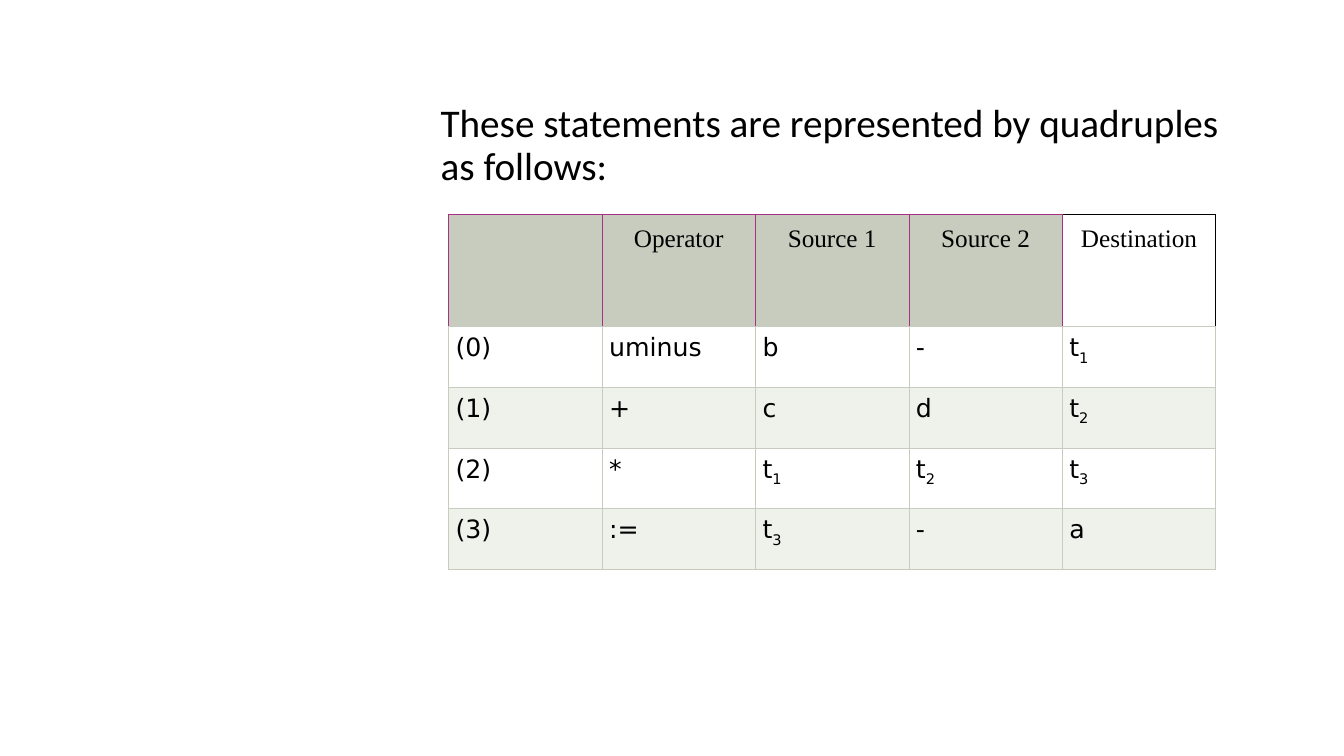
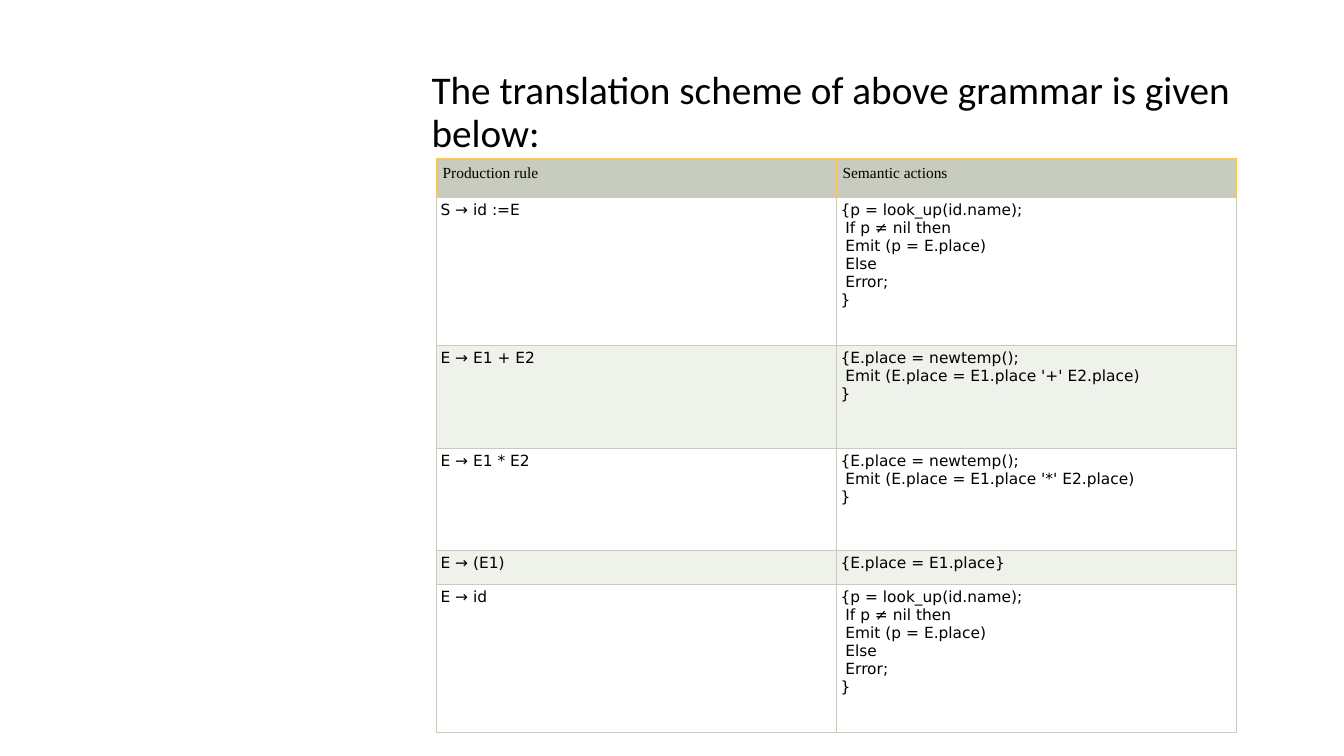
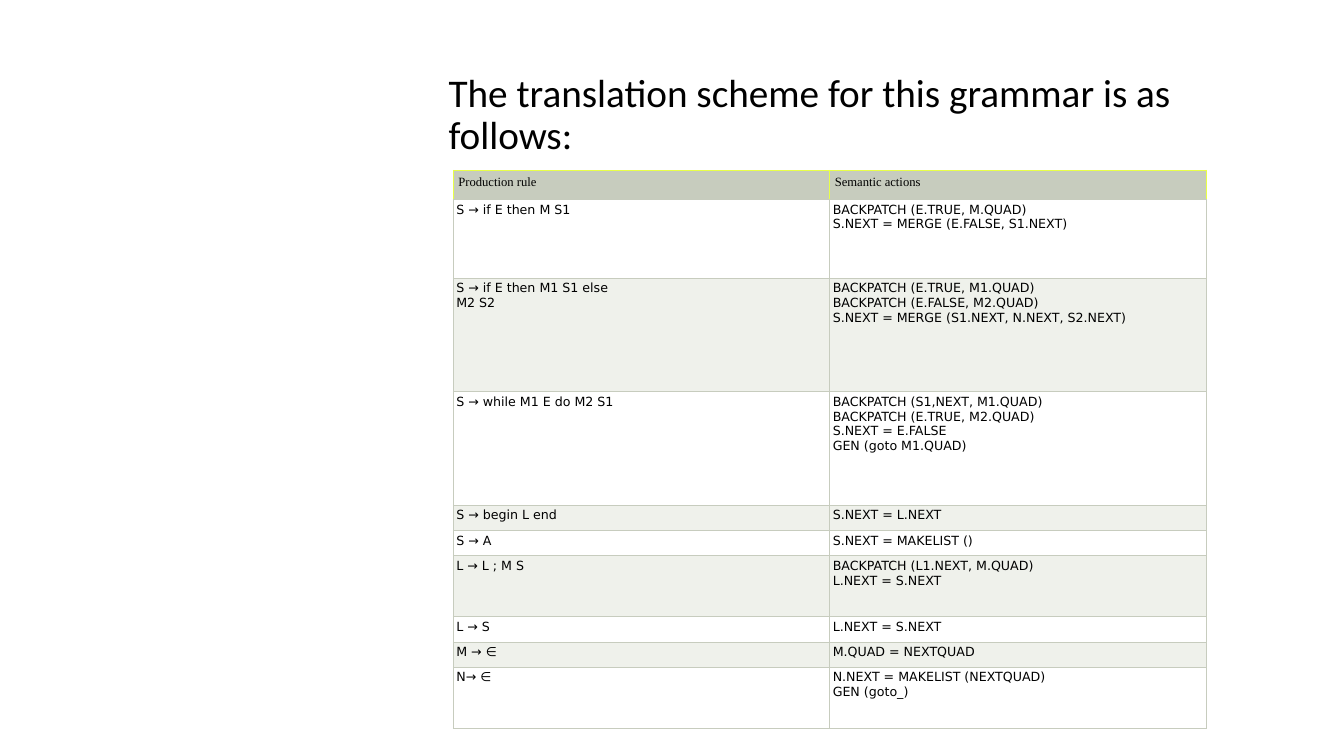
from copy import deepcopy
from dataclasses import dataclass

from lxml import etree
from pptx import Presentation
from pptx.dml.color import RGBColor
from pptx.enum.text import MSO_ANCHOR, MSO_AUTO_SIZE, PP_ALIGN
from pptx.oxml.ns import qn
from pptx.util import Inches, Pt

LEFT, CENTER = PP_ALIGN.LEFT, PP_ALIGN.CENTER
TOP, MIDDLE = MSO_ANCHOR.TOP, MSO_ANCHOR.MIDDLE
NO_AUTOFIT = MSO_AUTO_SIZE.NONE
TITLE_AND_BODY, TITLE_ONLY = 1, 5
EDGES = ("lnL", "lnR", "lnT", "lnB")


@dataclass(frozen=True)
class Theme:
    """Colours, fonts and sizes shared by all slides."""
    ink: str = "000000"
    header: str = "C7CCBE"
    rule: str = "C7CCBE"
    bands: tuple = ("FFFFFF", "EFF1EB")
    heading_font: str = "Calibri"
    header_font: str = "Times New Roman"
    cell_font: str = "DejaVu Sans"
    heading_size: float = 28
    line_spacing: float = 0.9
    rule_width: float = 0.6


@dataclass(frozen=True)
class TableLook:
    """What differs from one table to the next."""
    accent: str
    size: float
    header_inset: float
    cell_inset: float
    header_align: PP_ALIGN = LEFT


def assign(target, values):
    """Set each attribute named in values on target."""
    for name, value in values.items():
        setattr(target, name, value)


def insets(inches):
    """Return equal margins for all four sides."""
    return {f"margin_{side}": Inches(inches)
            for side in ("left", "top", "right", "bottom")}


class Deck:
    """Holds the theme, the presentation and the current slide."""

    def __init__(self, theme):
        """Start an empty widescreen presentation."""
        self.theme = theme
        self.presentation = Presentation()
        assign(self.presentation, {"slide_width": Inches(13.33),
                                   "slide_height": Inches(7.5)})
        self.slide = None

    def across(self, percent):
        """Return a percentage of the slide width."""
        return round(self.presentation.slide_width * percent / 100)

    def down(self, percent):
        """Return a percentage of the slide height."""
        return round(self.presentation.slide_height * percent / 100)

    def add_slide(self, layout):
        """Add a slide and make it current."""
        layouts = self.presentation.slide_layouts
        self.slide = self.presentation.slides.add_slide(layouts[layout])

    def style_runs(self, paragraph, font, size):
        """Give every run and line break one text style."""
        for run in paragraph.runs:
            assign(run.font, {"name": font, "size": Pt(size), "bold": False})
            run.font.color.rgb = RGBColor.from_string(self.theme.ink)
        for line_break in paragraph._p.findall(qn("a:br")):
            line_break.insert(0, deepcopy(paragraph.runs[0]._r.rPr))

    def fill_placeholder(self, holder, place, text, anchor, before):
        """Move a placeholder and write its heading text."""
        x, y, width, height = place
        assign(holder, {"left": self.across(x), "top": self.down(y),
                        "width": self.across(width),
                        "height": self.down(height)})
        frame = holder.text_frame
        assign(frame, {"auto_size": NO_AUTOFIT, "word_wrap": True,
                       "vertical_anchor": anchor})
        paragraph = frame.paragraphs[0]
        assign(paragraph, {"text": text, "alignment": LEFT,
                           "line_spacing": self.theme.line_spacing,
                           "space_before": Pt(before)})
        self.style_runs(paragraph, self.theme.heading_font,
                        self.theme.heading_size)
        return paragraph

    def title(self, place, text):
        """Write the slide title."""
        self.fill_placeholder(self.slide.shapes.title, place, text, MIDDLE, 0)

    def body(self, place, text):
        """Write unbulleted body text on a slide without a title."""
        heading = self.slide.shapes.title._element
        heading.getparent().remove(heading)
        statement = self.fill_placeholder(self.slide.placeholders[1], place,
                                          text, TOP, 10)
        properties = statement._p.get_or_add_pPr()
        for name in ("marL", "indent"):
            properties.set(name, "0")
        etree.SubElement(properties, qn("a:buNone"))

    def borders(self, cell, colours):
        """Draw left, right, top and bottom borders of a cell."""
        properties = cell._tc.get_or_add_tcPr()
        for edge, colour in zip(EDGES, colours):
            line = etree.SubElement(properties, qn(f"a:{edge}"),
                                    w=str(Pt(self.theme.rule_width)))
            solid = etree.SubElement(line, qn("a:solidFill"))
            etree.SubElement(solid, qn("a:srgbClr"), val=colour)

    def cell(self, cell, content, font, size, inset, align, fill, edges):
        """Write one cell; a pair is a symbol and its subscript."""
        assign(cell, insets(inset))
        paragraph = cell.text_frame.paragraphs[0]
        paragraph.alignment = align
        if isinstance(content, tuple):
            symbol, index = content
            paragraph.add_run().text = symbol
            subscript = paragraph.add_run()
            subscript.text = index
            subscript._r.get_or_add_rPr().set("baseline", "-25000")
        else:
            paragraph.text = content
        self.style_runs(paragraph, font, size)
        self.borders(cell, edges)
        if fill:
            cell.fill.solid()
            cell.fill.fore_color.rgb = RGBColor.from_string(fill)
        else:
            cell.fill.background()

    def table(self, place, heights, rows, look, open_header=None):
        """Add a banded table; open_header is a column with a clear header."""
        theme, columns = self.theme, len(rows[0])
        x, y, width = place
        grid = self.slide.shapes.add_table(
            len(rows), columns, self.across(x), self.down(y),
            self.across(width), self.down(sum(heights))).table
        assign(grid, {"first_row": False, "horz_banding": False})
        for column in grid.columns:
            column.width = self.across(width / columns)
        for row, height in zip(grid.rows, heights):
            row.height = self.down(height)

        accent = look.accent
        header = {"font": theme.header_font, "inset": look.header_inset,
                  "align": look.header_align, "fill": theme.header,
                  "edges": (accent, accent, accent, theme.rule)}
        clear = {**header, "fill": None,
                 "edges": (accent, theme.ink, theme.ink, theme.rule)}
        plain = {"font": theme.cell_font, "inset": look.cell_inset,
                 "align": LEFT, "edges": (theme.rule,) * 4}
        for r, row in enumerate(rows):
            for c, content in enumerate(row):
                if r:
                    form = {**plain, "fill": theme.bands[(r - 1) % 2]}
                else:
                    form = clear if c == open_header else header
                self.cell(grid.cell(r, c), content, size=look.size, **form)


RULE_HEADER = ("Production rule", "Semantic actions")

LOOK_UP = """{p = look_up(id.name);
\u00a0If p ≠ nil then
\u00a0Emit (p = E.place)
\u00a0Else
\u00a0Error;
}"""


def emit(operator):
    """Return the semantic action for a binary operator."""
    return ("{E.place = newtemp();\n"
            f"\u00a0Emit (E.place = E1.place '{operator}' E2.place)\n}}")


T1, T2, T3 = (("t", index) for index in "123")

QUADRUPLES = [
    ("", "Operator", "Source 1", "Source 2", "Destination"),
    ("(0)", "uminus", "b", "-", T1),
    ("(1)", "+", "c", "d", T2),
    ("(2)", "*", T1, T2, T3),
    ("(3)", ":=", T3, "-", "a"),
]

ASSIGNMENT_RULES = [
    RULE_HEADER,
    ("S → id :=E", LOOK_UP),
    ("E → E1 + E2", emit("+")),
    ("E → E1 * E2", emit("*")),
    ("E → (E1)", "{E.place = E1.place}"),
    ("E → id", LOOK_UP),
]

CONTROL_RULES = [
    RULE_HEADER,
    ("S → if E then M S1",
     "BACKPATCH (E.TRUE, M.QUAD)\nS.NEXT = MERGE (E.FALSE, S1.NEXT)"),
    ("S → if E then M1 S1 else\nM2 S2",
     "BACKPATCH (E.TRUE, M1.QUAD)\nBACKPATCH (E.FALSE, M2.QUAD)\n"
     "S.NEXT = MERGE (S1.NEXT, N.NEXT, S2.NEXT)"),
    ("S → while M1 E do M2 S1",
     "BACKPATCH (S1,NEXT, M1.QUAD)\nBACKPATCH (E.TRUE, M2.QUAD)\n"
     "S.NEXT = E.FALSE\nGEN (goto M1.QUAD)"),
    ("S → begin L end", "S.NEXT = L.NEXT"),
    ("S → A", "S.NEXT = MAKELIST ()"),
    ("L → L ; M S", "BACKPATCH (L1.NEXT, M.QUAD)\nL.NEXT = S.NEXT"),
    ("L → S", "L.NEXT = S.NEXT"),
    ("M → ∈", "M.QUAD = NEXTQUAD"),
    ("N→ ∈", "N.NEXT = MAKELIST (NEXTQUAD)\nGEN (goto_)"),
]


def main():
    """Build the three slides and save them."""
    deck = Deck(Theme())

    deck.add_slide(TITLE_AND_BODY)
    deck.body((32.03, 13.07, 61.07, 76.93),
              "These statements are represented by quadruples as follows:")
    deck.table((33.38, 28.4, 57.09), [14.8] + [8.03] * 4, QUADRUPLES,
               TableLook("A83085", 18, 0.1, 0.07, CENTER), open_header=4)

    deck.add_slide(TITLE_ONLY)
    deck.title((31.36, 5.33, 61.74, 19.33),
               "The translation scheme of above grammar is given below:")
    deck.table((32.48, 20.93, 59.52),
               [5.13, 19.65, 13.56, 13.56, 4.45, 19.65], ASSIGNMENT_RULES,
               TableLook("F8C65C", 11, 0.06, 0.04))

    deck.add_slide(TITLE_ONLY)
    deck.title((32.63, 7.55, 60.54, 15.6),
               "The translation scheme for this grammar is as follows:")
    single, double = 3.35, 8.05
    deck.table((33.73, 22.53, 56.02),
               [3.83, 10.4, 15.03, 15.03, single, single, double,
                single, single, double], CONTROL_RULES,
               TableLook("E8FF48", 9, 0.05, 0.03))

    deck.presentation.save("out.pptx")


main()
